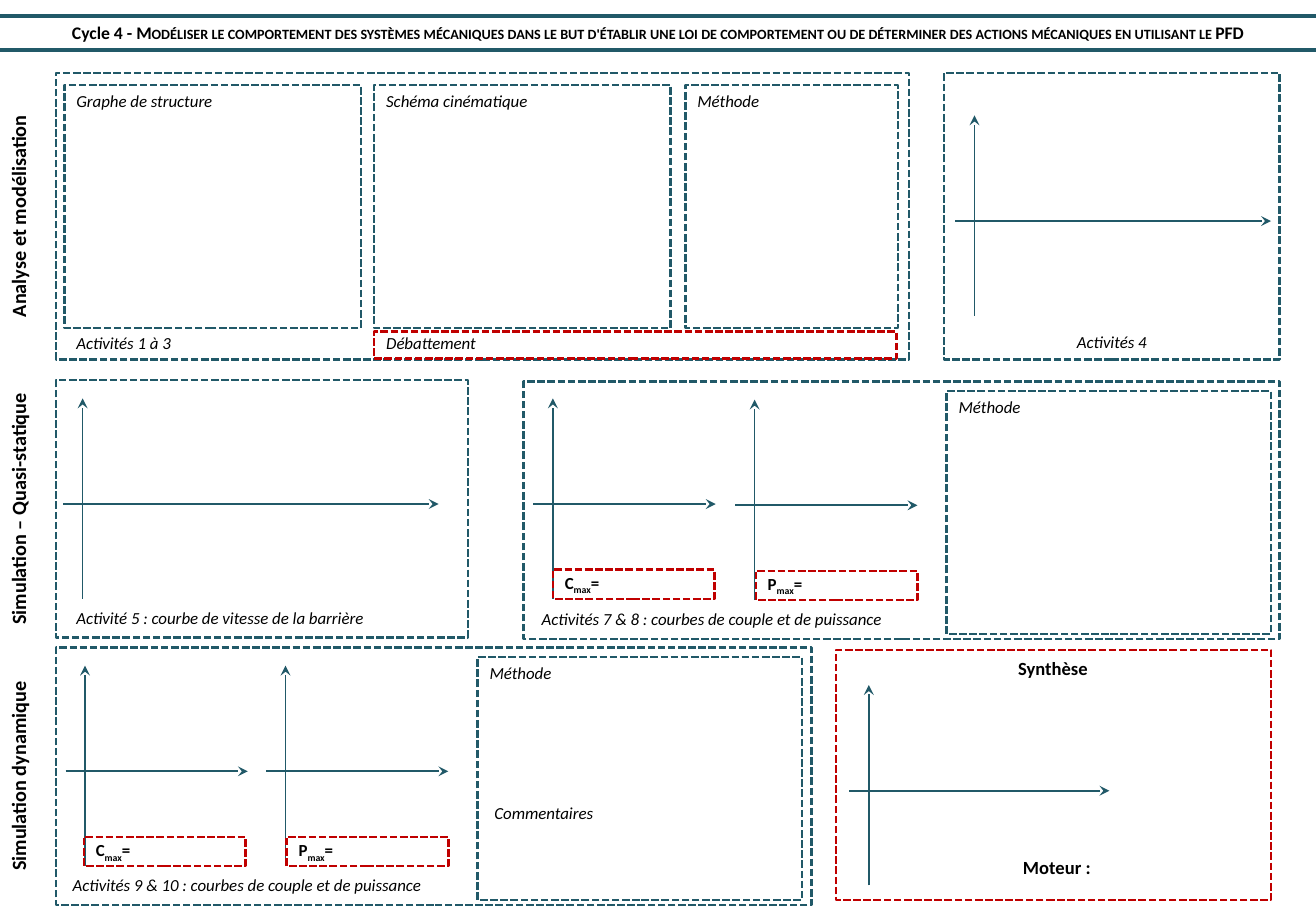
from dataclasses import dataclass

from lxml.etree import SubElement
from pptx import Presentation
from pptx.dml.color import RGBColor
from pptx.enum.dml import MSO_LINE
from pptx.enum.shapes import MSO_CONNECTOR, MSO_SHAPE
from pptx.enum.text import MSO_ANCHOR, MSO_AUTO_SIZE, PP_ALIGN
from pptx.oxml.ns import qn
from pptx.util import Inches, Pt

COLORS = {"teal": "215968", "red": "C00000", "black": "000000"}
FONT = "Calibri"
SLIDE_WIDTH, SLIDE_HEIGHT = 10.83, 7.5
AXIS_HEIGHT, AXIS_INSET, AXIS_MIDDLE = 1.65, 0.16, 0.87


@dataclass
class Frame:
    left: float
    top: float
    width: float
    height: float
    color: str = "teal"


@dataclass
class Axes:
    left: float
    top: float
    width: float


@dataclass
class Maximum:
    symbol: str
    left: float
    top: float


@dataclass
class Label:
    text: str
    left: float
    top: float
    width: float
    height: float = 0.27
    size: float = 10
    bold: bool = False
    italic: bool = True
    centered: bool = False
    rotation: float = 0
    wrap: bool = True


def side_label(text: str, left: float, top: float, width: float) -> Label:
    return Label(text, left, top, width, 0.3, 12, True, False, True, 270)


def summary_label(text: str, left: float, top: float, width: float,
                  centered: bool, wrap: bool) -> Label:
    return Label(text, left, top, width, 0.29, 11, True, False, centered, 0, wrap)


FRAMES = [
    Frame(0.46, 0.6, 7.02, 2.36),
    Frame(7.77, 0.6, 2.76, 2.36),
    Frame(0.46, 3.13, 3.39, 2.12),
    Frame(4.31, 3.14, 6.22, 2.12),
    Frame(0.46, 5.33, 6.22, 2.12),
    Frame(0.53, 0.7, 2.44, 2),
    Frame(3.08, 0.7, 2.44, 2),
    Frame(5.64, 0.7, 1.75, 2),
    Frame(7.79, 3.22, 2.67, 2),
    Frame(3.93, 5.41, 2.67, 2),
    Frame(3.08, 2.73, 4.3, 0.22, "red"),
    Frame(6.88, 5.35, 3.58, 2.06, "red"),
]

AXES = [
    Axes(7.86, 0.95, 2.6),
    Axes(0.52, 3.28, 3.09),
    Axes(4.39, 3.28, 1.5),
    Axes(6.05, 3.29, 1.5),
    Axes(0.54, 5.48, 1.5),
    Axes(2.19, 5.48, 1.5),
    Axes(6.99, 5.64, 2.14),
]

MAXIMA = [
    Maximum("C", 4.55, 4.69),
    Maximum("P", 6.22, 4.7),
    Maximum("C", 0.69, 6.89),
    Maximum("P", 2.36, 6.89),
]

LABELS = [
    side_label("Analyse et modélisation", -1.03, 1.63, 2.36),
    side_label("Simulation – Quasi-statique", -0.91, 4.04, 2.12),
    side_label("Simulation dynamique", -0.91, 6.24, 2.12),
    Label("Graphe de structure", 0.53, 0.7, 2.44),
    Label("Schéma cinématique", 3.08, 0.7, 2.44),
    Label("Méthode", 5.64, 0.7, 1.75),
    Label("Méthode", 7.79, 3.22, 1.75),
    Label("Méthode", 3.93, 5.41, 1.75),
    Label("Commentaires", 3.97, 6.56, 1.75),
    Label("Activités 1 à 3", 0.53, 2.69, 2.44),
    Label("Débattement", 3.08, 2.69, 4.3),
    Label("Activités 4", 7.77, 2.68, 2.76, centered=True),
    Label("Activité 5 : courbe de vitesse de la barrière", 0.53, 4.95, 3.24),
    Label("Activités 7 & 8 : courbes de couple et de puissance", 4.36, 4.96, 3.19),
    Label("Activités 9 & 10 : courbes de couple et de puissance", 0.5, 7.15, 3.19),
    summary_label("Synthèse", 6.87, 5.36, 3.59, True, True),
    summary_label("Moteur :", 8.32, 7, 0.8, False, False),
]


def rgb(name: str) -> RGBColor:
    return RGBColor.from_string(COLORS[name])


def style_font(paragraph, size: float, bold: bool, italic: bool = False) -> None:
    font = paragraph.font
    font.name, font.size = FONT, Pt(size)
    font.bold, font.italic = bold, italic
    font.color.rgb = rgb("black")


def add_frame(slide, frame: Frame):
    shape = slide.shapes.add_shape(
        MSO_SHAPE.RECTANGLE, Inches(frame.left), Inches(frame.top),
        Inches(frame.width), Inches(frame.height))
    shape.shadow.inherit = False
    shape.fill.background()
    shape.line.color.rgb = rgb(frame.color)
    shape.line.width = Pt(1.5)
    shape.line.dash_style = MSO_LINE.SQUARE_DOT
    return shape


def add_line(slide, start: tuple[float, float], end: tuple[float, float],
             width: float, arrow: bool = False) -> None:
    connector = slide.shapes.add_connector(
        MSO_CONNECTOR.STRAIGHT, Inches(start[0]), Inches(start[1]),
        Inches(end[0]), Inches(end[1]))
    connector.line.color.rgb = rgb("teal")
    connector.line.width = Pt(width)
    if arrow:
        SubElement(connector.line._get_or_add_ln(), qn("a:tailEnd"), type="stealth")
    SubElement(connector._element.spPr, qn("a:effectLst"))


def add_axes(slide, axes: Axes) -> None:
    vertical = axes.left + AXIS_INSET
    horizontal = axes.top + AXIS_MIDDLE
    add_line(slide, (vertical, axes.top + AXIS_HEIGHT), (vertical, axes.top), 1, True)
    add_line(slide, (axes.left, horizontal), (axes.left + axes.width, horizontal), 1, True)


def add_maximum(slide, maximum: Maximum) -> None:
    shape = add_frame(slide, Frame(maximum.left, maximum.top, 1.33, 0.24, "red"))
    shape.text_frame.vertical_anchor = MSO_ANCHOR.MIDDLE
    paragraph = shape.text_frame.paragraphs[0]
    paragraph.alignment = PP_ALIGN.LEFT
    style_font(paragraph, 10, True)
    for text, baseline in ((maximum.symbol, 0), ("max", -25000), ("=", 0)):
        run = paragraph.add_run()
        run.text = text
        run.font.color.rgb = rgb("black")
        run.font._element.set("baseline", str(baseline))


def add_label(slide, label: Label):
    shape = slide.shapes.add_textbox(
        Inches(label.left), Inches(label.top), Inches(label.width), Inches(label.height))
    shape.rotation = label.rotation
    shape.text_frame.word_wrap = label.wrap
    shape.text_frame.auto_size = MSO_AUTO_SIZE.SHAPE_TO_FIT_TEXT
    paragraph = shape.text_frame.paragraphs[0]
    paragraph.text = label.text
    paragraph.alignment = PP_ALIGN.CENTER if label.centered else PP_ALIGN.LEFT
    style_font(paragraph, label.size, label.bold, label.italic)
    return paragraph


def add_title(slide) -> None:
    for height in (0.13, 0.41):
        add_line(slide, (0, height), (SLIDE_WIDTH, height), 2.25)
    paragraph = add_label(slide, Label(
        "Cycle 4 - ", 0, 0.13, SLIDE_WIDTH, 0.29, 10.5, True, False, True))
    run = paragraph.add_run()
    run.text = ("Modéliser le comportement des systèmes mécaniques dans le but "
                "d'établir une loi de comportement ou de déterminer des actions "
                "mécaniques en utilisant le PFD")
    run.font._element.set("cap", "small")


def main() -> None:
    presentation = Presentation()
    presentation.slide_width = Inches(SLIDE_WIDTH)
    presentation.slide_height = Inches(SLIDE_HEIGHT)
    slide = presentation.slides.add_slide(presentation.slide_layouts[6])
    add_title(slide)
    for items, draw in ((FRAMES, add_frame), (AXES, add_axes),
                        (MAXIMA, add_maximum), (LABELS, add_label)):
        for item in items:
            draw(slide, item)
    presentation.save("out.pptx")


if __name__ == "__main__":
    main()
